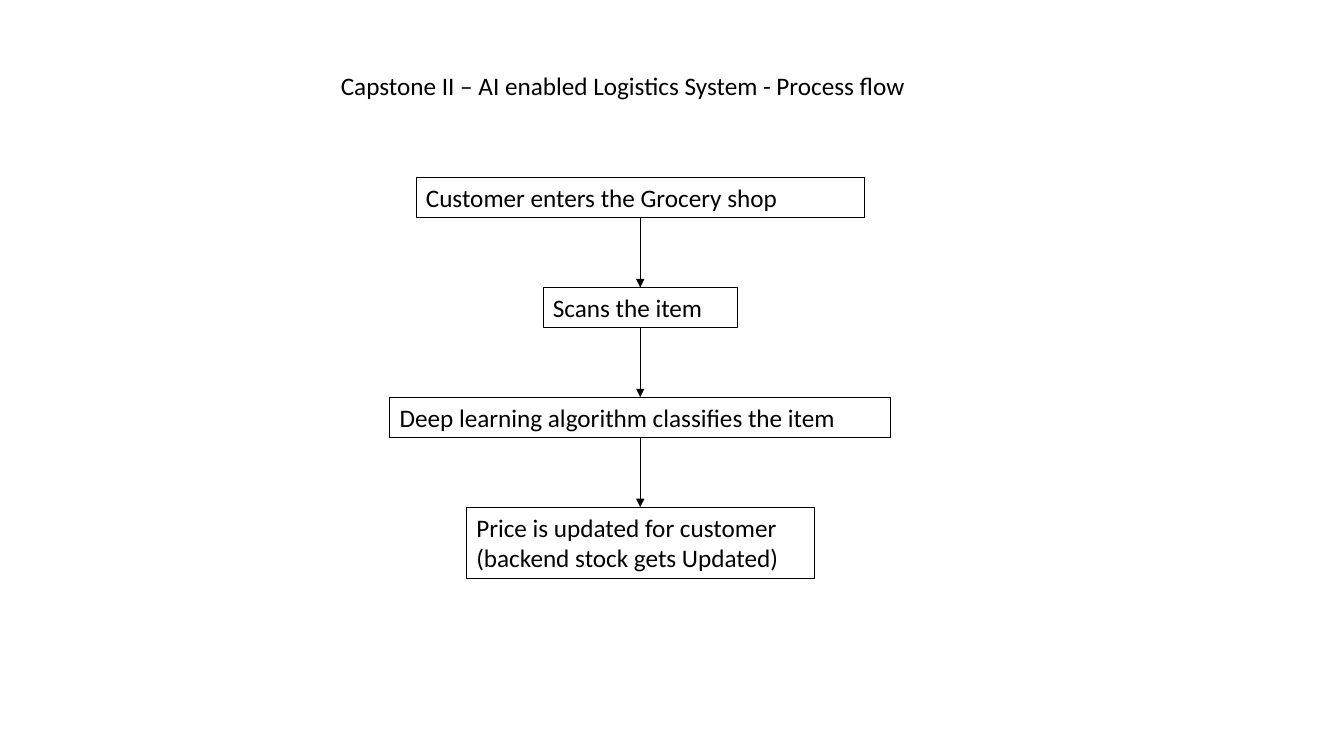
from pptx import Presentation
from pptx.dml.color import RGBColor
from pptx.enum.shapes import MSO_CONNECTOR as Link, MSO_SHAPE as Shape
from pptx.enum.text import MSO_ANCHOR as Anchor, MSO_AUTO_SIZE as Fit, PP_ALIGN as Align
from pptx.oxml.ns import qn
from pptx.util import Inches, Pt
from lxml.etree import SubElement as sub


def color(code):
    return RGBColor.from_string(code)


class Flow:
    font = "Calibri"
    size = Pt(18)
    ink = "000000"
    width = Pt(0.5)

    def __init__(self, slide):
        self.slide = slide

    def label(self, shape, text):
        frame = shape.text_frame
        frame.text = text
        frame.word_wrap = True
        frame.auto_size = Fit.NONE
        frame.vertical_anchor = Anchor.TOP
        for para in frame.paragraphs:
            para.alignment = Align.LEFT
            para.font.name = self.font
            para.font.size = self.size
            para.font.color.rgb = color(self.ink)

    def stroke(self, line):
        line.color.rgb = color(self.ink)
        line.width = self.width

    def title(self, text, left, top, width, height):
        shape = self.slide.shapes.title
        shape.left, shape.top = Inches(left), Inches(top)
        shape.width, shape.height = Inches(width), Inches(height)
        self.label(shape, text)

    def step(self, text, mid, top, width, height):
        shape = self.slide.shapes.add_shape(
            Shape.RECTANGLE, Inches(mid - width / 2), Inches(top),
            Inches(width), Inches(height))
        shape.shadow.inherit = False
        shape.fill.background()
        self.stroke(shape.line)
        self.label(shape, text)
        return shape

    def arrow(self, start, end):
        link = self.slide.shapes.add_connector(Link.STRAIGHT, 0, 0, 0, 0)
        link.begin_connect(start, 2)
        link.end_connect(end, 0)
        self.stroke(link.line)
        props = link.element.spPr
        sub(props.find(qn("a:ln")), qn("a:tailEnd"), type="triangle")
        sub(props, qn("a:effectLst"))


deck = Presentation()
deck.slide_width, deck.slide_height = Inches(13.33), Inches(7.5)
flow = Flow(deck.slides.add_slide(deck.slide_layouts[5]))
flow.title("Capstone II – AI enabled Logistics System - Process flow", 3.28, 0.65, 6.23, 0.4)

steps = [
    ("Customer enters the Grocery shop", 4.45, 0.4),
    ("Scans the item", 1.93, 0.4),
    ("Deep learning algorithm classifies the item", 4.97, 0.4),
    ("Price is updated for customer\n(backend stock gets Updated)", 3.45, 0.71),
]
MID, TOP, PITCH = 6.35, 1.76, 1.09
boxes = [flow.step(text, MID, TOP + i * PITCH, width, height)
         for i, (text, width, height) in enumerate(steps)]
for start, end in zip(boxes, boxes[1:]):
    flow.arrow(start, end)

deck.save("out.pptx")
